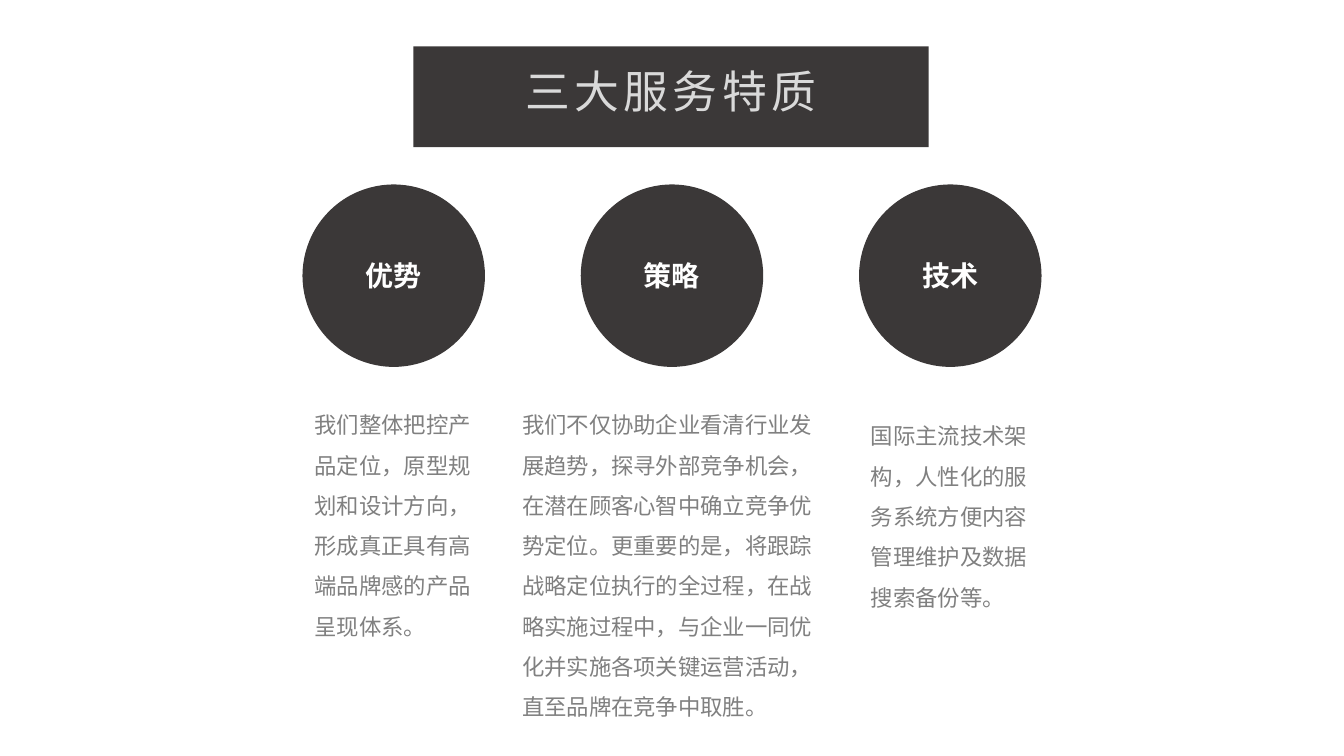
from lxml.etree import SubElement
from pptx import Presentation
from pptx.dml.color import RGBColor
from pptx.enum.shapes import MSO_SHAPE
from pptx.enum.text import MSO_ANCHOR, MSO_AUTO_SIZE, PP_ALIGN
from pptx.oxml.ns import qn
from pptx.util import Emu, Pt

EMU_PER_PX = 9144  # 100 px to the inch


def px(length):
    return Emu(length * EMU_PER_PX)


def color(hex_string):
    return RGBColor.from_string(hex_string)


class SlideBuilder:
    FONT = "Noto Sans CJK SC"
    DARK = "3B3838"
    TITLE = "D9D9D9"
    LABEL = "FFFFFF"
    BODY = "808080"

    def __init__(self, slide):
        self.slide = slide

    def shape(self, kind, left, top, width, height):
        shape = self.slide.shapes.add_shape(
            kind, px(left), px(top), px(width), px(height))
        shape.shadow.inherit = False
        shape.fill.solid()
        shape.fill.fore_color.rgb = color(self.DARK)
        shape.line.fill.background()
        return shape

    def set_text(self, frame, text, size, hex_string, align, bold=False,
                 line_spacing=None, tracking=None):
        """Fill a text frame; tracking is in hundredths of a point."""
        frame.word_wrap = True
        paragraph = frame.paragraphs[0]
        paragraph.text = text
        paragraph.alignment = align
        paragraph.line_spacing = line_spacing
        font = paragraph.font
        font.name = self.FONT
        font.size = Pt(size)
        font.bold = bold
        font.color.rgb = color(hex_string)
        properties = paragraph._p.pPr.find(qn("a:defRPr"))
        SubElement(properties, qn("a:ea"), typeface=self.FONT)
        if tracking:
            properties.set("spc", str(tracking))

    def circle(self, left, top, diameter, label):
        shape = self.shape(MSO_SHAPE.OVAL, left, top, diameter, diameter)
        shape.text_frame.vertical_anchor = MSO_ANCHOR.MIDDLE
        self.set_text(shape.text_frame, label, 20, self.LABEL,
                      PP_ALIGN.CENTER, bold=True)

    def text_box(self, left, top, width, height, text, *style, **options):
        box = self.slide.shapes.add_textbox(
            px(left), px(top), px(width), px(height))
        box.text_frame.auto_size = MSO_AUTO_SIZE.SHAPE_TO_FIT_TEXT
        self.set_text(box.text_frame, text, *style, **options)

    def title(self, text):
        self.shape(MSO_SHAPE.RECTANGLE, 410, 46, 511, 100)
        self.text_box(492, 58, 347, 64, text, 32, self.TITLE,
                      PP_ALIGN.CENTER, tracking=300)

    def description(self, left, top, width, height, text):
        self.text_box(left, top, width, height, text, 16, self.BODY,
                      PP_ALIGN.LEFT, line_spacing=1.5)


FEATURES = [
    ("优势", (302, 390, 179, 252),
     "我们整体把控产品定位，原型规划和设计方向，形成真正具有高端品牌感的产品呈现体系。"),
    ("策略", (508, 390, 317, 333),
     "我们不仅协助企业看清行业发展趋势，探寻外部竞争机会，在潜在顾客心智中确立竞争优势定位。"
     "更重要的是，将跟踪战略定位执行的全过程，在战略实施过程中，"
     "与企业一同优化并实施各项关键运营活动，直至品牌在竞争中取胜。"),
    ("技术", (854, 401, 179, 212),
     "国际主流技术架构，人性化的服务系统方便内容管理维护及数据搜索备份等。"),
]
CIRCLE_LEFT, CIRCLE_TOP, CIRCLE_SIZE, CIRCLE_STEP = 300, 183, 181, 276


def main():
    presentation = Presentation()
    presentation.slide_width = px(1333)
    presentation.slide_height = px(750)
    builder = SlideBuilder(
        presentation.slides.add_slide(presentation.slide_layouts[6]))

    builder.title("三大服务特质")
    for index, (label, area, text) in enumerate(FEATURES):
        builder.circle(CIRCLE_LEFT + index * CIRCLE_STEP, CIRCLE_TOP,
                       CIRCLE_SIZE, label)
        builder.description(*area, text)

    presentation.save("out.pptx")


if __name__ == "__main__":
    main()
